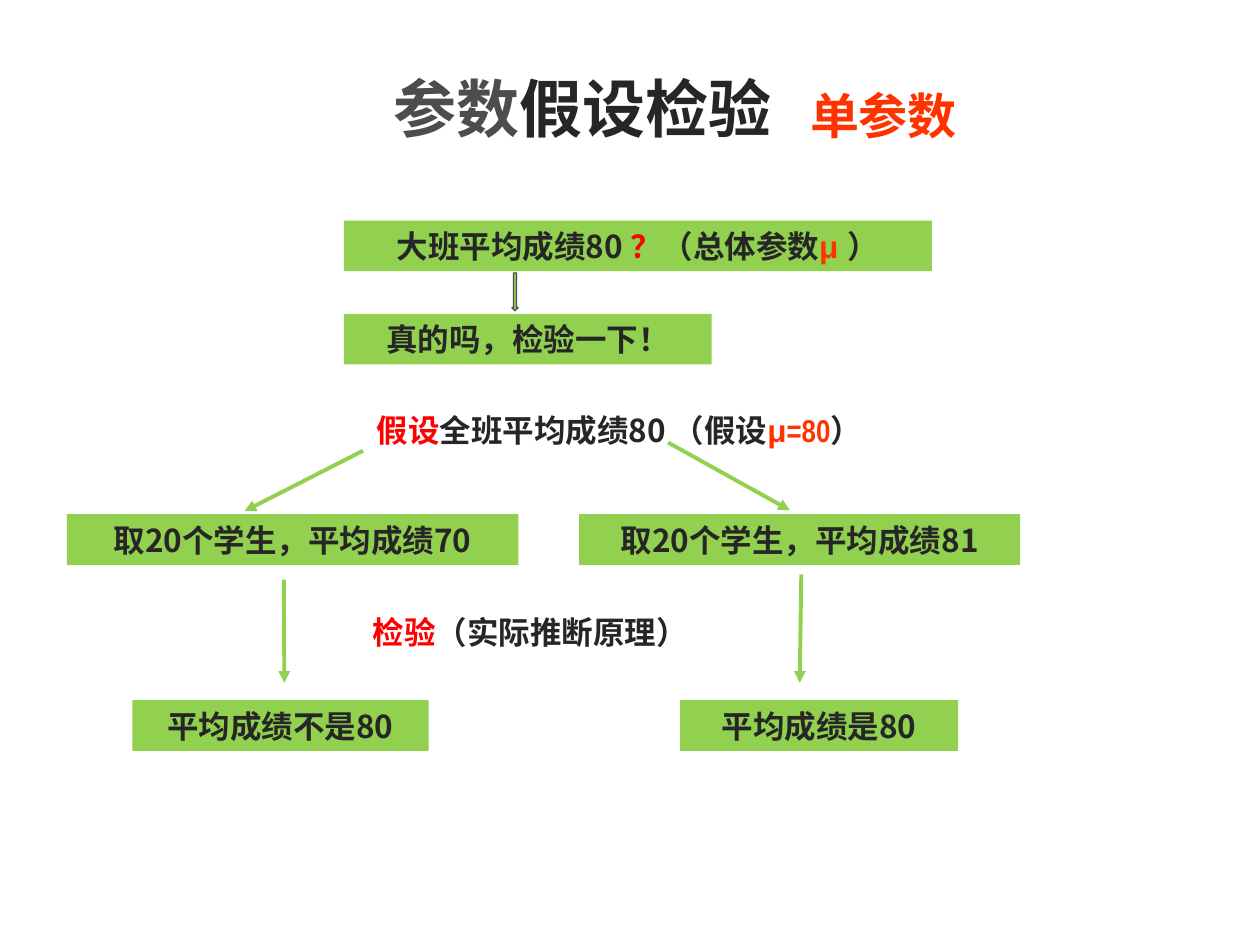
"""Build a slide that shows how a test of one parameter works."""
from dataclasses import dataclass
from typing import Any

from lxml.etree import SubElement as Sub
from pptx import Presentation
from pptx.dml.color import RGBColor as Rgb
from pptx.enum.shapes import MSO_CONNECTOR as Link, MSO_SHAPE as Form
from pptx.enum.text import MSO_ANCHOR as Anchor, MSO_AUTO_SIZE as Fit, PP_ALIGN as Align
from pptx.oxml.ns import qn
from pptx.util import Pt

HUES = {"ink": "262626", "gray": "4D4D4D", "red": "FF0000",
        "warm": "FF3300", "green": "92D050"}
SANS = "Noto Sans CJK SC"
HEAD = "Noto Sans CJK JP"
HIGH = 29


@dataclass
class Run:
    text: str
    hue: str = "ink"
    font: str = ""


@dataclass
class Box:
    left: float
    top: float
    width: float
    runs: list[Run]
    solid: bool = True


@dataclass
class Arrow:
    start: tuple[float, float]
    end: tuple[float, float]


BOXES = [
    Box(196.5, 126, 336, [Run("大班平均成绩80 "), Run("？", "red"), Run("（总体参数"),
                          Run("μ ", "warm", "Arial"), Run("）")]),
    Box(196.5, 179.3, 210.2, [Run("真的吗，检验一下！")]),
    Box(38.2, 293.8, 258, [Run("取20个学生，平均成绩70")]),
    Box(331, 293.8, 252, [Run("取20个学生，平均成绩81")]),
    Box(75.6, 400.1, 169.4, [Run("平均成绩不是80")]),
    Box(388.6, 400.1, 159, [Run("平均成绩是80")]),
    Box(198, 346.3, 210.2, [Run("检验", "red"), Run("（实际推断原理）")], False),
    Box(167, 231.1, 373.7, [Run("假设", "red"), Run("全班平均成绩80 （假设"),
                            Run("μ", "warm", "Arial"), Run("=80", "warm", "Arial Narrow"),
                            Run("）")], False),
]
ARROWS = [
    Arrow((207.4, 257.6), (139.7, 292.1)),
    Arrow((381.8, 252.9), (451.4, 291.6)),
    Arrow((162.2, 331.2), (162.5, 390.2)),
    Arrow((457.9, 328.2), (457, 390.2)),
]


def tint(hue: str) -> Rgb:
    return Rgb.from_string(HUES[hue])


def write(shape: Any, runs: list[Run], *, size: float = 18, font: str = SANS,
          align: Align = Align.CENTER, side: float = 7.2) -> None:
    frame = shape.text_frame
    frame.word_wrap = True
    frame.auto_size = Fit.NONE
    frame.vertical_anchor = Anchor.MIDDLE
    frame.margin_left = frame.margin_right = Pt(side)
    frame.margin_top = frame.margin_bottom = Pt(3.6)
    para = frame.paragraphs[0]
    para.alignment = align
    for part in runs:
        run = para.add_run()
        run.text = part.text
        face = run.font
        face.size, face.bold = Pt(size), True
        face.color.rgb = tint(part.hue)
        face.name = part.font or font
        Sub(face._element, qn("a:ea")).set("typeface", font)


def paint(shape: Any, hue: str) -> None:
    shape.shadow.inherit = False
    shape.fill.solid()
    shape.fill.fore_color.rgb = tint(hue)


def place(shapes: Any, box: Box) -> None:
    area = Pt(box.left), Pt(box.top), Pt(box.width), Pt(HIGH)
    if box.solid:
        shape = shapes.add_shape(Form.RECTANGLE, *area)
        paint(shape, "green")
        shape.line.fill.background()
    else:
        shape = shapes.add_textbox(*area)
    write(shape, box.runs)


def join(shapes: Any, arrow: Arrow) -> None:
    ends = [Pt(n) for n in arrow.start + arrow.end]
    line = shapes.add_connector(Link.STRAIGHT, *ends)
    line.line.color.rgb = tint("green")
    line.line.width = Pt(2.25)
    Sub(line.line._get_or_add_ln(), qn("a:tailEnd")).set("type", "triangle")
    Sub(line._element.spPr, qn("a:effectLst"))


def main() -> None:
    deck = Presentation()
    deck.slide_width, deck.slide_height = Pt(720), Pt(540)
    shapes = deck.slides.add_slide(deck.slide_layouts[5]).shapes

    title = shapes.title
    title.left, title.top, title.width, title.height = Pt(217.4), Pt(36), Pt(230.4), Pt(50.4)
    write(title, [Run("参数", "gray"), Run("假设检验")], size=36, font=HEAD, side=0)
    note = shapes.add_textbox(Pt(455.8), Pt(45.4), Pt(126), Pt(41))
    write(note, [Run("单参数", "warm")], size=28, font=HEAD, align=Align.LEFT)

    for box in BOXES:
        place(shapes, box)
    down = shapes.add_shape(Form.DOWN_ARROW, Pt(292.5), Pt(156), Pt(3.6), Pt(21.6))
    paint(down, "green")
    down.line.color.rgb = tint("gray")
    down.line.width = Pt(0.75)
    for arrow in ARROWS:
        join(shapes, arrow)
    deck.save("out.pptx")


if __name__ == "__main__":
    main()
